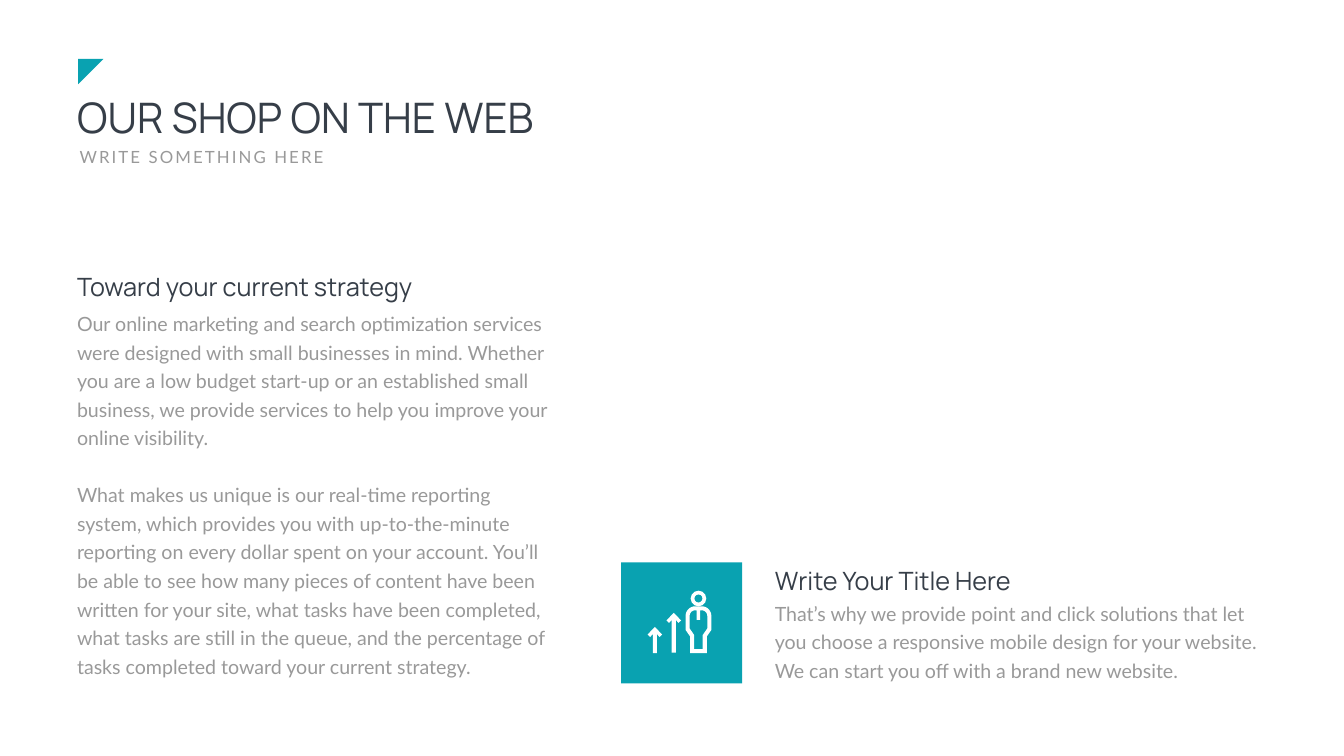
from math import cos, pi, sin

from pptx import Presentation
from pptx.dml.color import RGBColor
from pptx.enum.shapes import MSO_SHAPE
from pptx.enum.text import MSO_ANCHOR, MSO_AUTO_SIZE, PP_ALIGN
from pptx.util import Inches, Pt

TEAL = RGBColor(0x09, 0xA2, 0xB1)
DARK = RGBColor(0x36, 0x3E, 0x48)
GREY = RGBColor(0x99, 0x99, 0x99)
WHITE = RGBColor(0xFF, 0xFF, 0xFF)

TITLE_ONLY = 5
HEADING_FONT, BODY_FONT = "Manrope", "Lato"
BODY_LEADING = Pt(40.8)
HEADING_HEIGHT = 0.71
ICON_UNITS = 240  # the icon is drawn on a square grid of this many units

INTRO = [
    "Our online marketing and search optimization services were designed with small "
    "businesses in mind. Whether you are a low budget start-up or an established small "
    "business, we provide services to help you improve your online visibility.",
    "What makes us unique is our real-time reporting system, which provides you with "
    "up-to-the-minute reporting on every dollar spent on your account. You’ll be able to "
    "see how many pieces of content have been written for your site, what tasks have been "
    "completed, what tasks are still in the queue, and the percentage of tasks completed "
    "toward your current strategy.",
]
FEATURE = [
    "That’s why we provide point and click solutions that let you choose a responsive "
    "mobile design for your website. We can start you off with a brand new website.",
]


def place(shape, box):
    shape.left, shape.top, shape.width, shape.height = (Inches(value) for value in box)


def write(shape, texts, font_name, size, color, wrap=True, leading=None):
    """Fill a text shape with paragraphs; a leading also parts them by one line."""
    frame = shape.text_frame
    frame.word_wrap = wrap
    frame.auto_size = MSO_AUTO_SIZE.SHAPE_TO_FIT_TEXT
    frame.vertical_anchor = MSO_ANCHOR.TOP
    for index, text in enumerate(texts):
        paragraph = frame.add_paragraph() if index else frame.paragraphs[0]
        paragraph.text = text
        paragraph.alignment = PP_ALIGN.LEFT
        if leading:
            paragraph.line_spacing = leading
            if index:
                paragraph.space_before = leading
        font = paragraph.font
        font.name, font.size, font.color.rgb = font_name, Pt(size), color


def add_text(slide, box, *args, **options):
    shape = slide.shapes.add_textbox(*(Inches(value) for value in box))
    write(shape, *args, **options)
    return shape


def paint(shape, color):
    shape.fill.solid()
    shape.fill.fore_color.rgb = color
    shape.line.fill.background()
    shape.shadow.inherit = False


def add_block(slide, preset, box, color):
    shape = slide.shapes.add_shape(preset, *(Inches(value) for value in box))
    paint(shape, color)
    return shape


def add_header(slide, left, top):
    marker = add_block(slide, MSO_SHAPE.RIGHT_TRIANGLE, (left + 0.12, top, 0.5, 0.5), TEAL)
    marker.rotation = 90
    title = slide.shapes.title
    place(title, (left, top + 0.59, 17.29, 1.11))
    write(title, ["OUR SHOP ON THE WEB"], HEADING_FONT, 60, DARK)
    subtitle = add_text(slide, (left + 0.05, top + 1.7, 5.14, 0.5),
                        ["WRITE SOMETHING HERE"], BODY_FONT, 24, GREY, wrap=False)
    run = subtitle.text_frame.paragraphs[0].runs[0]
    run._r.get_or_add_rPr().set("spc", "300")


def add_article(slide, box, heading, heading_width, texts, body_offset):
    """Place a heading at the top of the box and body text in the rest of it."""
    left, top, width, height = box
    add_text(slide, (left, top + body_offset, width, height - body_offset),
             texts, BODY_FONT, 28, GREY, leading=BODY_LEADING)
    add_text(slide, (left, top, heading_width, HEADING_HEIGHT),
             [heading], HEADING_FONT, 36, DARK, wrap=False)


def mirrored(half, center, top):
    """Complete a right-hand half outline with its mirror image."""
    whole = half + [(-x, y) for x, y in reversed(half)]
    return [(center + x, top + y) for x, y in whole]


def shoulder(radius, steps=12):
    angles = [pi / 2 * step / steps for step in range(steps + 1)]
    return [(6.5 + radius * sin(angle), 19 - radius * cos(angle)) for angle in angles]


def add_outline(slide, tile, contours):
    unit = tile.width / ICON_UNITS
    paths = [[(tile.left + x * unit, tile.top + y * unit) for x, y in contour]
             for contour in contours]
    builder = slide.shapes.build_freeform(*paths[0][0])
    for index, path in enumerate(paths):
        if index:
            builder.move_to(*path[0])
        builder.add_line_segments(path[1:], close=True)
    paint(builder.convert_to_shape(), WHITE)


def add_growth_icon(slide, left, top, side):
    tile = add_block(slide, MSO_SHAPE.RECTANGLE, (left, top, side, side), TEAL)
    unit = side / ICON_UNITS
    center = 153.5

    body = shoulder(19) + [(25.5, 47), (16.5, 60), (16.5, 93)]
    inside = [(3.5, 27), (3.5, 8)] + shoulder(11) + [(17.5, 44), (8.5, 57), (8.5, 85)]
    add_outline(slide, tile, [mirrored(body, center, 87), mirrored(inside, center, 87)])

    head = add_block(slide, MSO_SHAPE.DONUT,
                     (left + (center - 15.5) * unit, top + 56 * unit, 31 * unit, 31 * unit),
                     WHITE)
    head.adjustments[0] = 0.24

    for arrow_center, arrow_top, height in ((104.5, 100, 79), (67, 128, 52)):
        arrow = [(0, 0), (14.5, 15), (9.5, 20), (4, 14), (4, height)]
        add_outline(slide, tile, [mirrored(arrow, arrow_center, arrow_top)])


def add_feature(slide, left, top, side):
    add_growth_icon(slide, left, top, side)
    add_article(slide, (left + side + 0.55, top, 10.06, side),
                "Write Your Title Here", 5.3, FEATURE, 0.63)


def main():
    presentation = Presentation()
    presentation.slide_width, presentation.slide_height = Inches(26.66), Inches(15)
    slide = presentation.slides.add_slide(presentation.slide_layouts[TITLE_ONLY])
    margin = 1.43
    add_header(slide, margin, 1.17)
    add_article(slide, (margin, 5.33, 9.53, 8.23),
                "Toward your current strategy", 7.74, INTRO, HEADING_HEIGHT)
    add_feature(slide, 12.32, 11.16, 2.4)
    presentation.save("out.pptx")


if __name__ == "__main__":
    main()
